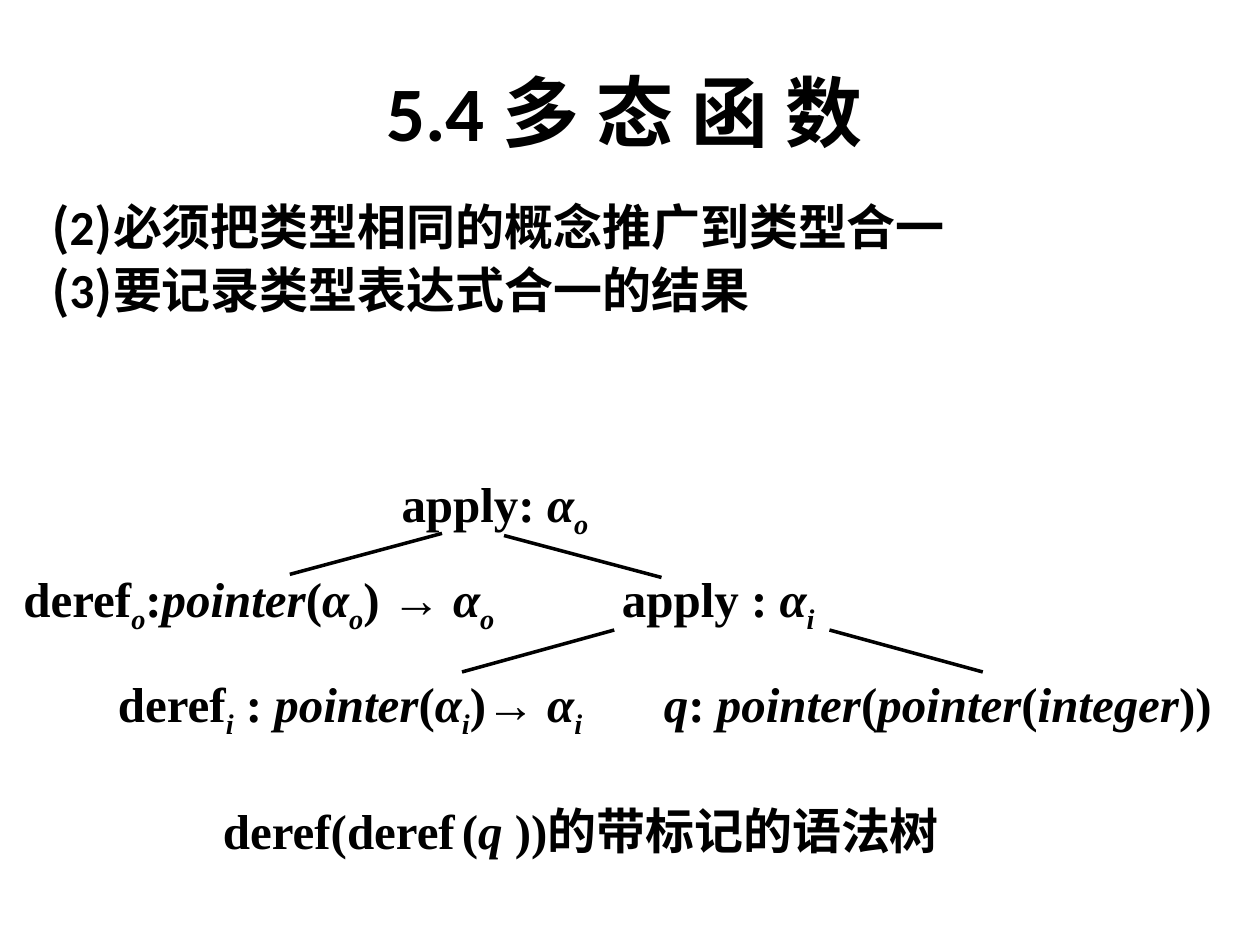
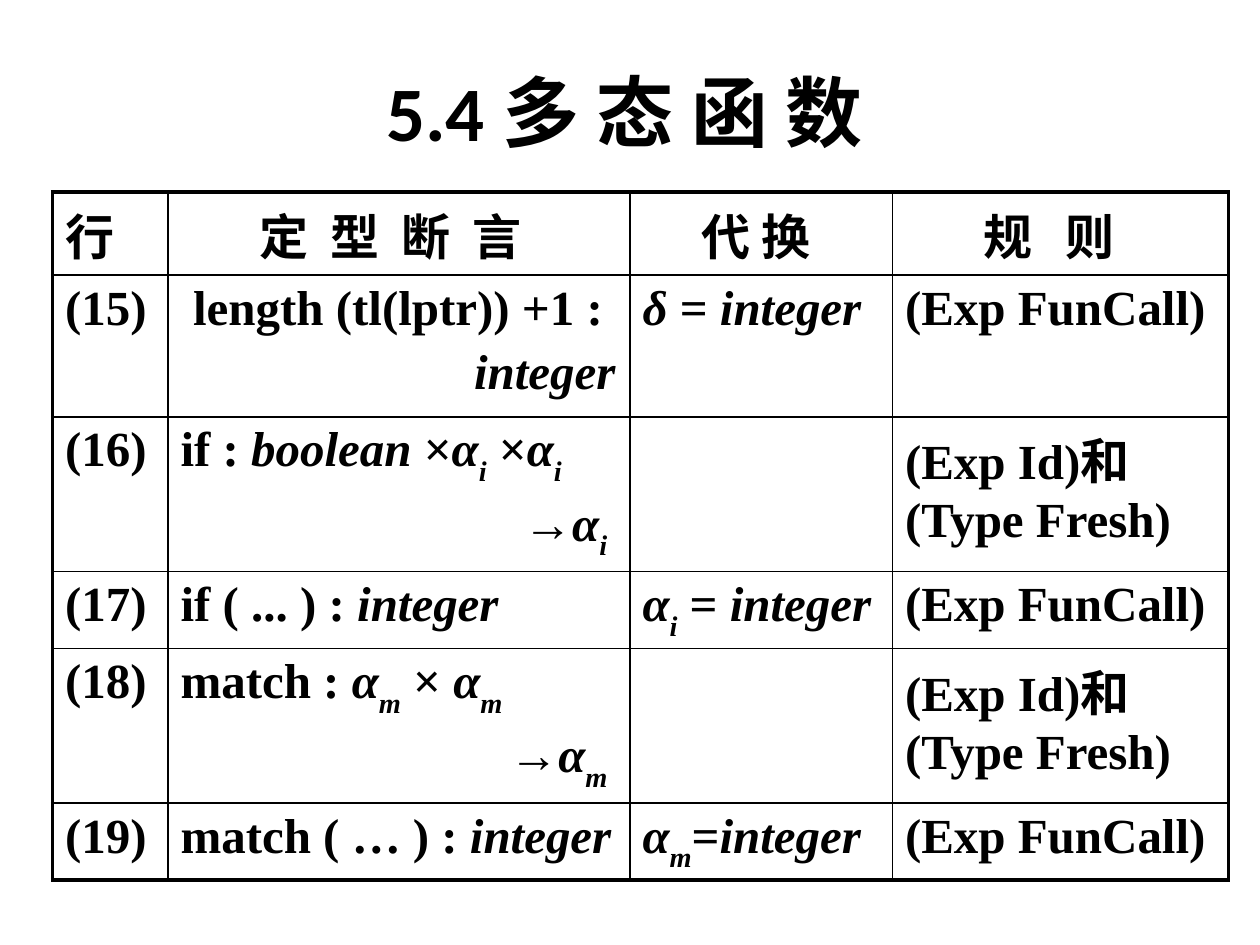
from typing import NamedTuple

from lxml.etree import SubElement
from pptx import Presentation
from pptx.dml.color import RGBColor
from pptx.enum.shapes import MSO_CONNECTOR
from pptx.enum.text import MSO_ANCHOR, PP_ALIGN
from pptx.oxml.ns import qn
from pptx.util import Emu, Inches, Pt

BLACK = RGBColor(0x00, 0x00, 0x00)
SANS, SERIF, CJK = "Calibri", "Times New Roman", "Noto Sans CJK SC"
TITLE = "5.4 多 态 函 数"
BODY_SIZE = 28
COLUMNS, ROWS = 120, 90
SLIDE_W, SLIDE_H = Inches(10), Inches(7.5)
OUTER, INNER = 2.25, 1
ITALIC, SUB, DIGIT, SPACED = MARKS = "*_^~"


class Area(NamedTuple):
    """Left, top, width and height in grid columns and rows."""
    x: float
    y: float
    w: float
    h: float


class Line(NamedTuple):
    """Text with *italic*, _italic subscript_, ^sans digit^ and ~spaced~ stretches."""
    text: str
    indent: float = 0
    tracking: float = 0


class Label(NamedTuple):
    area: Area
    text: str
    top_inset: float = 0.01


class Branch(NamedTuple):
    x1: float
    y1: float
    x2: float
    y2: float


REQUIREMENTS = [Line("(^2^)必须把类型相同的概念推广到类型合一"),
                Line("(^3^)要记录类型表达式合一的结果")]
LABELS = [
    Label(Area(38, 45, 20, 5), "apply: *α*_o_"),
    Label(Area(2, 54, 47, 6), "deref_o_:*pointer*(*α*_o_) → *α*_o_"),
    Label(Area(59, 54, 23, 6), "apply : *α*_i_"),
    Label(Area(11, 64, 47, 6), "deref_i_ : *pointer*(*α*_i_)→ *α*_i_"),
    Label(Area(63, 64, 54, 7), "*q*: *pointer*(*pointer*(*integer*))"),
    Label(Area(21, 76, 71, 6), "deref(deref_ _(*q* ))的带标记的语法树", 0.02),
]
BRANCHES = [Branch(42.1, 50.8, 27.6, 54.7), Branch(48, 51, 63, 55),
            Branch(58.5, 60, 44, 64), Branch(79, 60, 93.6, 64)]

TABLE_AREA = Area(5, 18.3, 112, 64.8)
COL_WIDTHS = [11, 44, 25, 32]
ROW_HEIGHTS = [7.9, 13.5, 14.4, 7.3, 14.4, 7.3]
HEADER = [Line("行"), Line("~定 型 断 言~ ", tracking=3.1), Line("代 换 "),
          Line("~规 则~ ", tracking=6.3)]
CALL, FRESH = "(Exp FunCall)", "(Exp Id)和(Type Fresh)"
DERIVATION = [
    ([Line("length (tl(lptr)) +1 :", 0.1), Line("*integer*", 2.33)],
     "*δ* = *integer*", CALL),
    ([Line("if : *boolean *×*α*_i_ ×*α*_i_"), Line("→*α*_i_", 2.72)], "", FRESH),
    ([Line("if ( ... ) : *integer*")], "*α*_i_ = *integer*", CALL),
    ([Line("match : *α*_m_ × *α*_m_"), Line("→*α*_m_", 2.61)], "", FRESH),
    ([Line("match ( … ) : *integer*")], "*α*_m_=*integer*", CALL),
]
FIRST_NUMBER = 15


def across(columns: float) -> Emu:
    return Emu(round(SLIDE_W * columns / COLUMNS))


def down(rows: float) -> Emu:
    return Emu(round(SLIDE_H * rows / ROWS))


def place(area: Area) -> tuple:
    return across(area.x), down(area.y), across(area.w), down(area.h)


def split_markup(text: str):
    """Yield each stretch of text with the set of marks in force on it."""
    active, piece = frozenset(), ""
    for ch in text:
        if ch not in MARKS:
            piece += ch
            continue
        if piece:
            yield piece, active
        piece = ""
        active ^= {ch}
    if piece:
        yield piece, active


def write(tf, lines: list, font: str = SERIF, size: float = BODY_SIZE, drop: int = 25,
          **paragraph_format) -> None:
    for n, line in enumerate(lines):
        p = tf.add_paragraph() if n else tf.paragraphs[0]
        for name, value in paragraph_format.items():
            if n or name != "space_before":
                setattr(p, name, value)
        if line.indent:
            p._p.get_or_add_pPr().set("marL", str(Inches(line.indent)))
        for text, marks in split_markup(line.text):
            r = p.add_run()
            r.text = text
            style = {"name": SANS if DIGIT in marks else font, "size": Pt(size),
                     "bold": True, "italic": bool(marks & {ITALIC, SUB})}
            for name, value in style.items():
                setattr(r.font, name, value)
            r.font.color.rgb = BLACK
            rPr = r._r.get_or_add_rPr()
            SubElement(rPr, qn("a:ea"), typeface=CJK)
            if SUB in marks:
                rPr.set("baseline", str(-1000 * drop))
            if SPACED in marks:
                rPr.set("spc", str(round(100 * line.tracking)))


def add_text(slide, area: Area, lines: list, frame: dict, **text_format) -> None:
    tf = slide.shapes.add_textbox(*place(area)).text_frame
    for name, value in {"word_wrap": True, **frame}.items():
        setattr(tf, name, value)
    write(tf, lines, **text_format)


def add_titled_slide(prs):
    s = prs.slides.add_slide(prs.slide_layouts[6])
    add_text(s, Area(3, 3, 113, 15), [Line(TITLE)],
             {"vertical_anchor": MSO_ANCHOR.MIDDLE},
             font=SANS, size=44, alignment=PP_ALIGN.CENTER)
    return s


def add_branch(slide, b: Branch) -> None:
    c = slide.shapes.add_connector(MSO_CONNECTOR.STRAIGHT, across(b.x1), down(b.y1),
                                   across(b.x2), down(b.y2))
    c.line.color.rgb = BLACK
    c.line.width = Pt(2)
    SubElement(c._element.spPr, qn("a:effectLst"))


def draw_borders(cell, row: int, col: int) -> None:
    """Rule all four sides, heavier along the rim of the table."""
    rim = {"lnL": col == 0, "lnR": col == len(COL_WIDTHS) - 1,
           "lnT": row == 0, "lnB": row == len(ROW_HEIGHTS) - 1}
    tcPr = cell._tc.get_or_add_tcPr()
    for side, outer in rim.items():
        ln = SubElement(tcPr, qn(f"a:{side}"), w=str(Pt(OUTER if outer else INNER)))
        SubElement(SubElement(ln, qn("a:solidFill")), qn("a:srgbClr"), val=str(BLACK))


def add_derivation_table(slide) -> None:
    table = slide.shapes.add_table(len(ROW_HEIGHTS), len(COL_WIDTHS),
                                   *place(TABLE_AREA)).table
    table.first_row = table.horz_banding = False
    for column, width in zip(table.columns, COL_WIDTHS):
        column.width = across(width)
    for row, height in zip(table.rows, ROW_HEIGHTS):
        row.height = down(height)

    content = [[[line] for line in HEADER]]
    for number, (judgement, substitution, rule) in enumerate(DERIVATION, FIRST_NUMBER):
        content.append([[Line(f"({number})")], judgement,
                        [Line(substitution)], [Line(rule)]])
    for i, cells in enumerate(content):
        for j, lines in enumerate(cells):
            cell = table.cell(i, j)
            draw_borders(cell, i, j)
            cell.fill.background()
            cell.margin_bottom = 0
            centred = i == 0 and j > 0
            write(cell.text_frame, lines, drop=30, space_before=Pt(5.6),
                  alignment=PP_ALIGN.CENTER if centred else PP_ALIGN.LEFT)


def build_syntax_tree_slide(prs) -> None:
    s = add_titled_slide(prs)
    add_text(s, Area(3.7, 18.8, 112.4, 66), REQUIREMENTS, {},
             font=CJK, line_spacing=0.9, space_before=Pt(5.6))
    for label in LABELS:
        frame = {"margin_left": Inches(0.02), "margin_right": Inches(0.02),
                 "margin_top": Inches(label.top_inset), "margin_bottom": Inches(0.01)}
        add_text(s, label.area, [Line(label.text)], frame, alignment=PP_ALIGN.JUSTIFY)
    for branch in BRANCHES:
        add_branch(s, branch)


def main() -> None:
    prs = Presentation()
    prs.slide_width, prs.slide_height = SLIDE_W, SLIDE_H
    build_syntax_tree_slide(prs)
    add_derivation_table(add_titled_slide(prs))
    prs.save("out.pptx")


if __name__ == "__main__":
    main()
